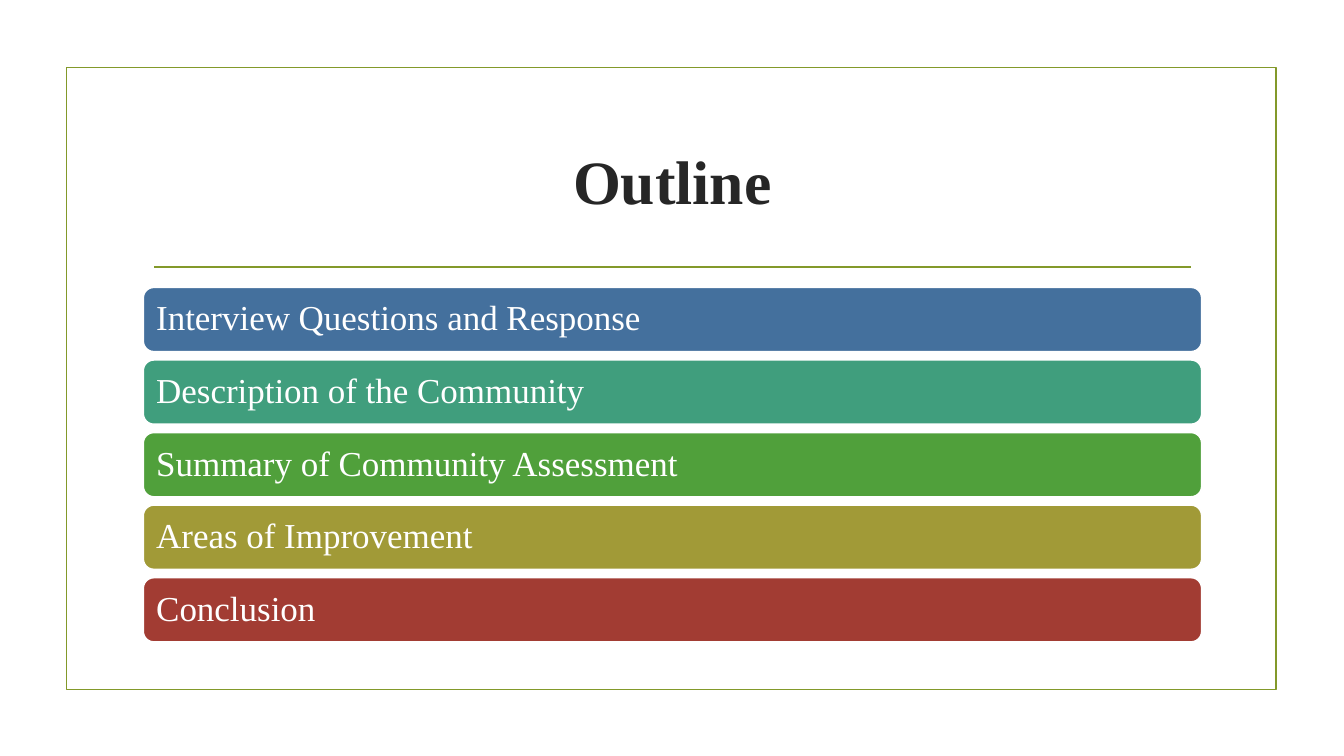
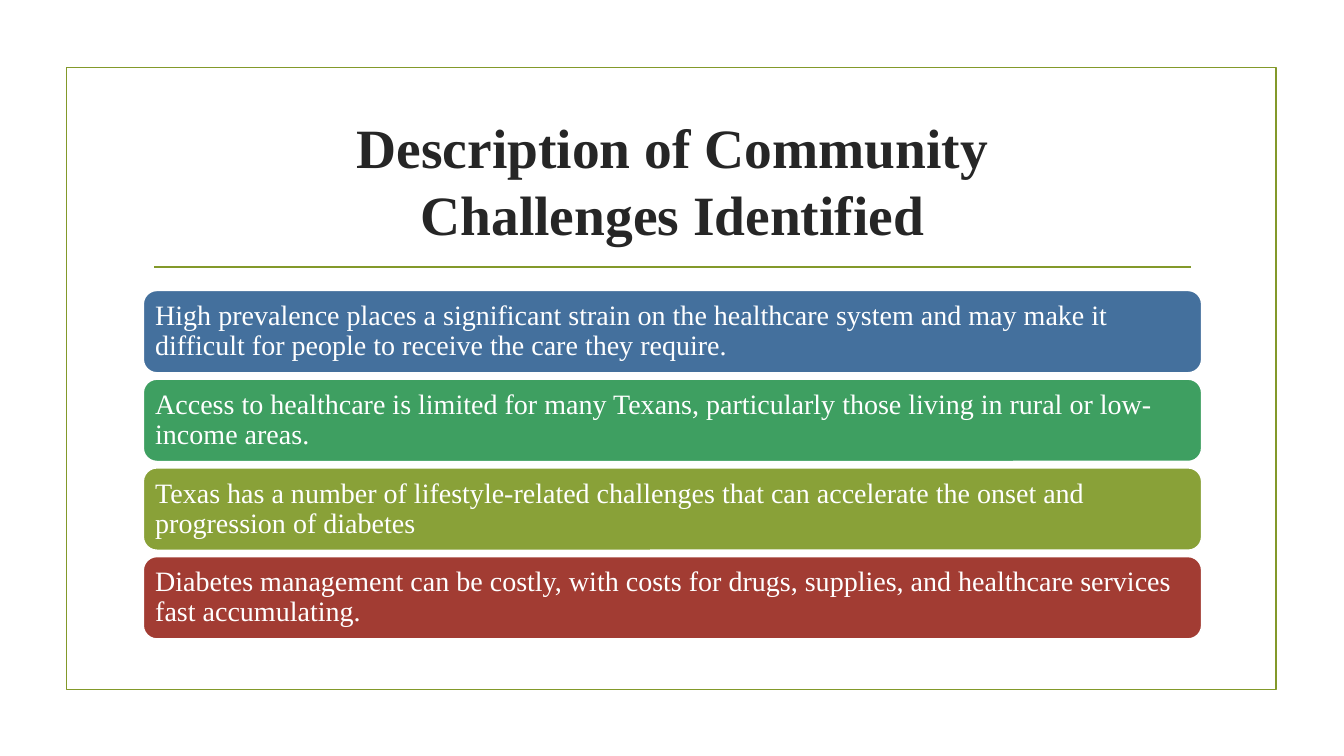
"""Build two slides that list points as coloured bars inside a thin frame."""
from lxml import etree
from pptx import Presentation
from pptx.dml.color import RGBColor
from pptx.enum.shapes import MSO_CONNECTOR, MSO_SHAPE
from pptx.enum.text import MSO_ANCHOR, MSO_AUTO_SIZE, PP_ALIGN
from pptx.oxml.ns import qn
from pptx.util import Pt

RECTANGLE, ROUNDED = MSO_SHAPE.RECTANGLE, MSO_SHAPE.ROUNDED_RECTANGLE
STRAIGHT = MSO_CONNECTOR.STRAIGHT
MIDDLE = MSO_ANCHOR.MIDDLE
LEFT, CENTER = PP_ALIGN.LEFT, PP_ALIGN.CENTER
NO_AUTOFIT = MSO_AUTO_SIZE.NONE

SLIDES = [
    {
        "title": ["Outline"], "title_size": 44, "text_size": 25,
        "top": 285, "height": 64, "gap": 8, "inset": 10,
        "bars": [
            ("Interview Questions and Response", "blue"),
            ("Description of the Community", "teal"),
            ("Summary of Community Assessment", "green"),
            ("Areas of Improvement", "mustard"),
            ("Conclusion", "red"),
        ],
    },
    {
        "title": ["Description of Community", "Challenges Identified"],
        "title_size": 39.6, "text_size": 20,
        "top": 288, "height": 82, "gap": 6, "inset": 8,
        "bars": [
            ("High prevalence places a significant strain on the healthcare system "
             "and may make it difficult for people to receive the care they require.", "blue"),
            ("Access to healthcare is limited for many Texans, particularly those "
             "living in rural or low-income areas.", "emerald"),
            ("Texas has a number of lifestyle-related challenges that can accelerate "
             "the onset and progression of diabetes", "olive"),
            ("Diabetes management can be costly, with costs for drugs, supplies, "
             "and healthcare services fast accumulating.", "red"),
        ],
    },
]

COLORS = {
    "frame": "83992A", "title": "262626", "white": "FFFFFF",
    "blue": "44709D", "teal": "409E7D", "green": "50A03B", "mustard": "A19A37",
    "emerald": "3E9F61", "olive": "89A138", "red": "A23C33",
}
FONT = "Times New Roman"
LINE_WIDTH = Pt(1.25)
EMU_PER_PX = 9144
SLIDE_SIZE = (1333, 750)
FRAME = (66, 67, 1200, 617)
RULE = (153, 265, 1181, 265)
TITLE = (142, 107, 1050, 143)
BAR_LEFT, BAR_WIDTH = 142, 1050
TITLE_ONLY = 5


def px(*lengths):
    return [length * EMU_PER_PX for length in lengths]


def color(name):
    return RGBColor.from_string(COLORS[name])


def set_line(shape, name):
    shape.line.color.rgb = color(name)
    shape.line.width = LINE_WIDTH


def add_span(para, text, size, name, bold=False):
    span = para.add_run()
    span.text = text
    span.font.name = FONT
    span.font.size = Pt(size)
    span.font.bold = bold
    span.font.color.rgb = color(name)


def style_layout(layout, page):
    """Draw the shared frame and rule, then move them behind every page."""
    title = layout.placeholders[0]
    title.left, title.top, title.width, title.height = px(*TITLE)
    frame = page.shapes.add_shape(RECTANGLE, *px(*FRAME))
    frame.shadow.inherit = False
    frame.fill.background()
    rule = page.shapes.add_connector(STRAIGHT, *px(*RULE))
    for shape in (frame, rule):
        set_line(shape, "frame")
        layout.shapes._spTree.append(shape._element)
    etree.SubElement(rule._element.spPr, qn("a:effectLst"))


def fill_title(page, lines, size):
    text_frame = page.shapes.title.text_frame
    text_frame.auto_size = NO_AUTOFIT
    text_frame.vertical_anchor = MIDDLE
    para = text_frame.paragraphs[0]
    para.alignment = CENTER
    for index, line in enumerate(lines):
        if index:
            para.add_line_break()
        add_span(para, line, size, "title", bold=True)


def add_bar(page, text, fill, top, content):
    bar = page.shapes.add_shape(ROUNDED, *px(BAR_LEFT, top, BAR_WIDTH, content["height"]))
    bar.shadow.inherit = False
    bar.fill.solid()
    bar.fill.fore_color.rgb = color(fill)
    set_line(bar, "white")
    text_frame = bar.text_frame
    text_frame.word_wrap = True
    text_frame.vertical_anchor = MIDDLE
    (text_frame.margin_left, text_frame.margin_top,
     text_frame.margin_right, text_frame.margin_bottom) = px(*[content["inset"]] * 4)
    para = text_frame.paragraphs[0]
    para.alignment = LEFT
    para.line_spacing = 0.9
    add_span(para, text, content["text_size"], "white")


def main():
    deck = Presentation()
    deck.slide_width, deck.slide_height = px(*SLIDE_SIZE)
    layout = deck.slide_layouts[TITLE_ONLY]
    pages = [deck.slides.add_slide(layout) for _ in SLIDES]
    style_layout(layout, pages[0])
    for page, content in zip(pages, SLIDES):
        fill_title(page, content["title"], content["title_size"])
        pitch = content["height"] + content["gap"]
        for row, (text, fill) in enumerate(content["bars"]):
            add_bar(page, text, fill, content["top"] + row * pitch, content)
    deck.save("out.pptx")


if __name__ == "__main__":
    main()
